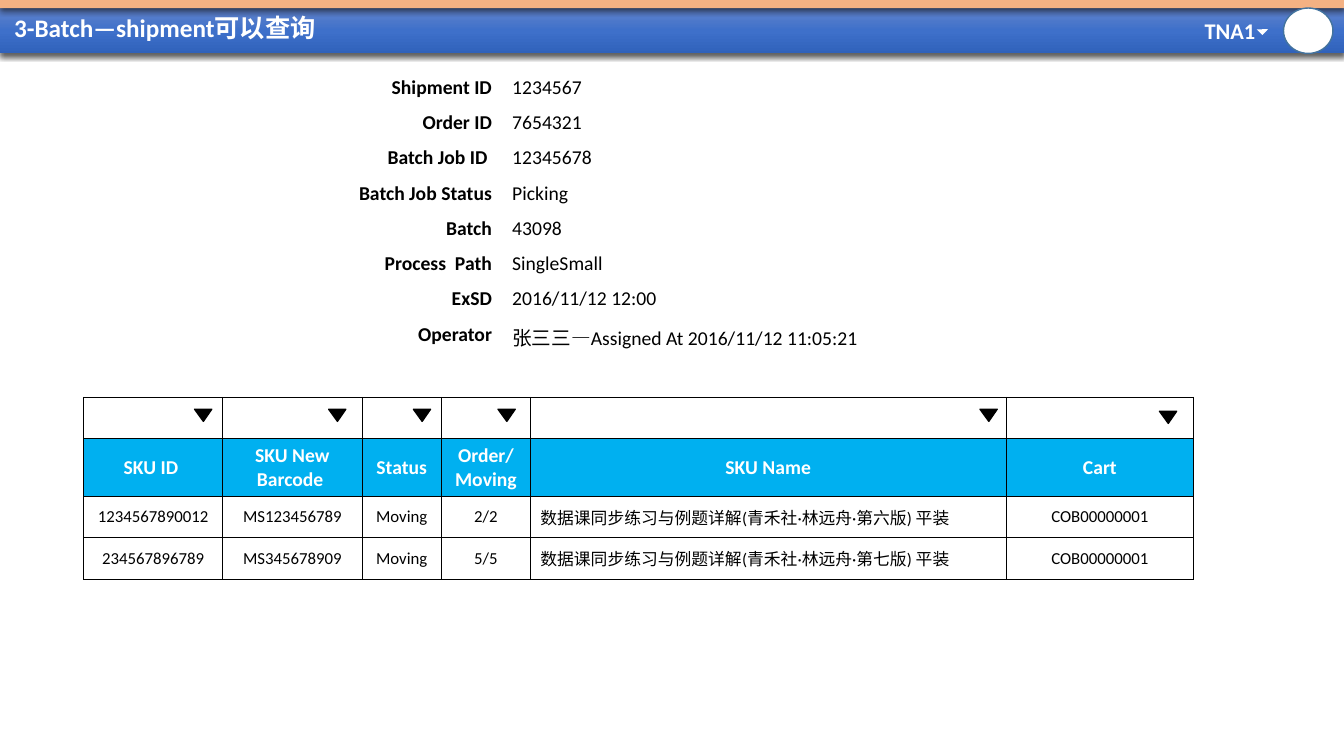
"""Build the batch shipment query slide with its details and SKU tables."""
from dataclasses import dataclass
from typing import Optional

from lxml.etree import SubElement
from pptx import Presentation
from pptx.dml.color import RGBColor
from pptx.enum.shapes import MSO_SHAPE
from pptx.enum.text import MSO_ANCHOR, MSO_AUTO_SIZE, PP_ALIGN
from pptx.oxml.ns import qn
from pptx.util import Inches, Pt

FONT = "Calibri"
WHITE, BLACK, SKY = "FFFFFF", "000000", "00B0F0"


@dataclass(frozen=True)
class Box:
    x: float
    y: float
    w: float
    h: float

    def emu(self) -> tuple:
        return tuple(Inches(v) for v in (self.x, self.y, self.w, self.h))


@dataclass(frozen=True)
class Shape:
    kind: MSO_SHAPE
    box: Box
    fill: str
    line: Optional[str] = None
    rotation: float = 0
    shadow: bool = False
    gradient: tuple = ()


@dataclass(frozen=True)
class Style:
    size: float
    color: str = BLACK
    bold: bool = False
    align: PP_ALIGN = PP_ALIGN.LEFT


BAR = Shape(MSO_SHAPE.RECTANGLE, Box(0, 0.08, 13.33, 0.45), "3E70CA", shadow=True,
            gradient=((0, "6183CB"), (50, "3E70CA"), (100, "3062BB")))
STRIP = Shape(MSO_SHAPE.RECTANGLE, Box(0, -0.03, 13.33, 0.11), "F4B183", shadow=True)
AVATAR = Shape(MSO_SHAPE.OVAL, Box(12.73, 0.08, 0.49, 0.45), WHITE, line="43739E")
CARET = Shape(MSO_SHAPE.RIGHT_TRIANGLE, Box(12.48, 0.25, 0.08, 0.08), WHITE, rotation=314.5)

DETAILS = (
    ("Shipment ID", "1234567"),
    ("Order ID", "7654321"),
    ("Batch Job ID ", "12345678"),
    ("Batch Job Status", "Picking"),
    ("Batch", "43098"),
    ("Process  Path", "SingleSmall"),
    ("ExSD", "2016/11/12 12:00"),
    ("Operator", "张三三—Assigned At 2016/11/12 11:05:21"),
)
SKUS = (
    ("",) * 6,
    ("SKU ID ", "SKU New Barcode ", "Status", "Order/Moving", "SKU Name", "Cart"),
    ("1234567890012", "MS123456789", "Moving", "2/2",
     "数据课同步练习与例题详解(青禾社·林远舟·第六版) 平装", "COB00000001"),
    ("234567896789", "MS345678909", "Moving", "5/5",
     "数据课同步练习与例题详解(青禾社·林远舟·第七版) 平装", "COB00000001"),
)
SKU_HEADER, SKU_NAME = 1, 4
FILTERS = ((1.93, 4.06), (3.26, 4.06), (4.1, 4.06), (4.94, 4.06), (9.72, 4.06), (11.5, 4.08))


def rgb(color: str) -> RGBColor:
    return RGBColor.from_string(color)


def add_gradient(sp, stops: tuple) -> None:
    sp.fill.gradient()
    sp.fill.gradient_angle = 270
    gs_list = sp.element.spPr.find(qn("a:gradFill")).find(qn("a:gsLst"))
    for gs in list(gs_list):
        gs_list.remove(gs)
    for percent, color in stops:
        gs = SubElement(gs_list, qn("a:gs"), pos=str(percent * 1000))
        SubElement(gs, qn("a:srgbClr"), val=color)


def add_shadow(sp) -> None:
    effects = sp.element.spPr.find(qn("a:effectLst"))
    outer = SubElement(effects, qn("a:outerShdw"), blurRad=str(Pt(4.5)), dist=str(Pt(1.5)),
                       dir="5400000", algn="ctr", rotWithShape="0")
    color = SubElement(outer, qn("a:srgbClr"), val=BLACK)
    SubElement(color, qn("a:alpha"), val="63000")


def draw_shape(s, shape: Shape):
    sp = s.shapes.add_shape(shape.kind, *shape.box.emu())
    sp.rotation = shape.rotation
    if shape.gradient:
        add_gradient(sp, shape.gradient)
    else:
        sp.fill.solid()
        sp.fill.fore_color.rgb = rgb(shape.fill)
    if shape.line:
        sp.line.color.rgb = rgb(shape.line)
        sp.line.width = Pt(1)
    else:
        sp.line.fill.background()
    sp.shadow.inherit = False
    if shape.shadow:
        add_shadow(sp)
    return sp


def write(tf, text: str, style: Style):
    p = tf.paragraphs[0]
    p.text = text
    p.alignment = style.align
    p.font.name = FONT
    p.font.size = Pt(style.size)
    p.font.bold = style.bold
    p.font.color.rgb = rgb(style.color)
    return p


def fill_cell(cell, color: str) -> None:
    cell.fill.solid()
    cell.fill.fore_color.rgb = rgb(color)


def add_borders(cell) -> None:
    props = cell._tc.get_or_add_tcPr()
    for side in ("lnL", "lnR", "lnT", "lnB"):
        ln = SubElement(props, qn(f"a:{side}"), w=str(Pt(0.5)))
        fill = SubElement(ln, qn("a:solidFill"))
        SubElement(fill, qn("a:srgbClr"), val=BLACK)


def add_grid(s, x: float, y: float, widths: tuple, rows: int, height: float):
    box = Box(x, y, sum(widths), rows * height)
    table = s.shapes.add_table(rows, len(widths), *box.emu()).table
    table.first_row = table.horz_banding = False
    for column, width in zip(table.columns, widths):
        column.width = Inches(width)
    for row in table.rows:
        row.height = Inches(height)
    return table


def draw_header(s) -> None:
    for shape in (BAR, STRIP, AVATAR):
        draw_shape(s, shape)
    tf = s.shapes.add_textbox(*Box(11.85, 0.12, 0.71, 0.37).emu()).text_frame
    tf.word_wrap = False
    tf.auto_size = MSO_AUTO_SIZE.SHAPE_TO_FIT_TEXT
    write(tf, "TNA1", Style(16, WHITE, True))
    draw_shape(s, CARET)

    title = s.shapes.title
    title.left, title.top, title.width, title.height = Box(0.04, 0.08, 11.5, 0.42).emu()
    tf = title.text_frame
    tf.auto_size = MSO_AUTO_SIZE.NONE
    tf.vertical_anchor = MSO_ANCHOR.MIDDLE
    p = write(tf, "3-Batch—shipment可以查询", Style(18, WHITE, True))
    p.line_spacing = 0.9
    s.shapes.element.append(title.element)


def draw_details(s) -> None:
    table = add_grid(s, 3.07, 0.7, (1.91, 6.98), len(DETAILS), 0.35)
    styles = (Style(14, bold=True, align=PP_ALIGN.RIGHT), Style(14))
    for i, texts in enumerate(DETAILS):
        for j, (text, style) in enumerate(zip(texts, styles)):
            cell = table.cell(i, j)
            fill_cell(cell, WHITE)
            write(cell.text_frame, text, style)


def draw_skus(s) -> None:
    table = add_grid(s, 0.83, 3.94, (1.38, 1.38, 0.79, 0.88, 4.72, 1.86), len(SKUS), 0.41)
    for i, texts in enumerate(SKUS):
        header = i == SKU_HEADER
        for j, text in enumerate(texts):
            cell = table.cell(i, j)
            add_borders(cell)
            fill_cell(cell, SKY if header else WHITE)
            cell.vertical_anchor = MSO_ANCHOR.MIDDLE
            if header:
                write(cell.text_frame, text, Style(14, WHITE, True, PP_ALIGN.CENTER))
            elif text:
                align = PP_ALIGN.LEFT if j == SKU_NAME else PP_ALIGN.CENTER
                write(cell.text_frame, text, Style(12, align=align))
    for x, y in FILTERS:
        box = Box(x, y, 0.17, 0.12)
        sp = draw_shape(s, Shape(MSO_SHAPE.ISOSCELES_TRIANGLE, box, BLACK, BLACK, 180))
        sp.adjustments[0] = 0.49


def main() -> None:
    prs = Presentation()
    prs.slide_width, prs.slide_height = Inches(13.33), Inches(7.5)
    s = prs.slides.add_slide(prs.slide_layouts[5])
    draw_header(s)
    draw_details(s)
    draw_skus(s)
    prs.save("out.pptx")


if __name__ == "__main__":
    main()
